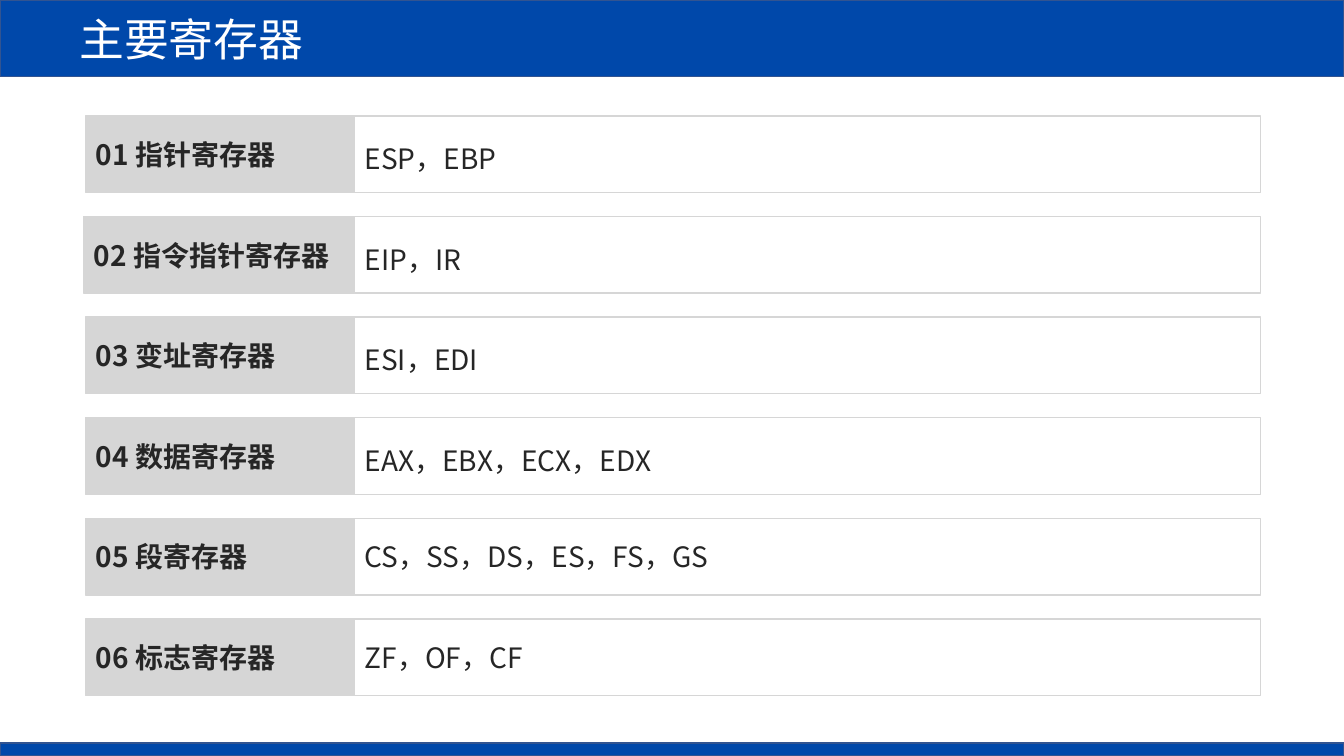
from dataclasses import dataclass

from lxml import etree
from pptx import Presentation
from pptx import util as u
from pptx.dml.color import RGBColor
from pptx.enum import shapes, text
from pptx.oxml import ns


@dataclass(frozen=True)
class Theme:
    font: str = "Noto Sans CJK SC"
    blue: str = "0048AA"
    blue_edge: str = "325491"
    grey: str = "D6D6D6"
    ink: str = "262626"
    white: str = "FFFFFF"
    title_size: int = 32
    body_size: int = 20


@dataclass(frozen=True)
class RegisterRow:
    kind: str
    names: str
    line_spacing: float = 1.0
    label_left: float = 2.16


THEME = Theme()
PAGE_WIDTH, PAGE_HEIGHT = 33.87, 19.05
BAR_HEIGHT, FOOTER_HEIGHT = 1.93, 0.33
FIRST_TOP, LAST_TOP = 2.92, 15.6
NAMES_LEFT, NAMES_WIDTH = 8.94, 22.83

ROWS = [
    RegisterRow("指针寄存器", "ESP，EBP", 1.25),
    RegisterRow("指令指针寄存器", "EIP，IR", 1.25, label_left=2.11),
    RegisterRow("变址寄存器", "ESI，EDI", 1.25),
    RegisterRow("数据寄存器", "EAX，EBX，ECX，EDX", 1.25),
    RegisterRow("段寄存器", "CS，SS，DS，ES，FS，GS"),
    RegisterRow("标志寄存器", "ZF，OF，CF"),
]


def paint(box, fill: str | None, edge: str) -> None:
    if fill:
        box.fill.solid()
        box.fill.fore_color.rgb = RGBColor.from_string(fill)
    else:
        box.fill.background()
    box.line.color.rgb = RGBColor.from_string(edge)
    box.line.width = u.Pt(1)


def add_box(parent, left: float, top: float, width: float, height: float,
            fill: str | None, edge: str):
    box = parent.shapes.add_shape(shapes.MSO_SHAPE.RECTANGLE, u.Cm(left),
                                  u.Cm(top), u.Cm(width), u.Cm(height))
    box.shadow.inherit = False
    paint(box, fill, edge)
    return box


def write(box, wording: str, *, size: int = THEME.body_size,
          color: str = THEME.ink, bold: bool = False,
          line_spacing: float = 1.0) -> None:
    frame = box.text_frame
    frame.word_wrap = True
    frame.auto_size = text.MSO_AUTO_SIZE.NONE
    frame.vertical_anchor = text.MSO_ANCHOR.MIDDLE
    para = frame.paragraphs[0]
    para.alignment = text.PP_ALIGN.LEFT
    para.line_spacing = line_spacing
    span = para.add_run()
    span.text = wording
    span.font.size = u.Pt(size)
    span.font.bold = bold
    span.font.color.rgb = RGBColor.from_string(color)
    span.font.name = THEME.font
    east_asian = etree.SubElement(span._r.get_or_add_rPr(), ns.qn("a:ea"))
    east_asian.set("typeface", THEME.font)


def add_title_bar(page, wording: str) -> None:
    title = page.shapes.title
    title.left, title.top = u.Cm(0), u.Cm(0)
    title.width, title.height = u.Cm(PAGE_WIDTH), u.Cm(BAR_HEIGHT)
    title.text_frame.margin_left = u.Cm(2)
    paint(title, THEME.blue, THEME.blue_edge)
    write(title, wording, size=THEME.title_size, color=THEME.white)


def add_register_row(page, number: int, row: RegisterRow, top: float) -> None:
    group = page.shapes.add_group_shape()
    label = add_box(group, row.label_left, top, NAMES_LEFT - row.label_left,
                    BAR_HEIGHT, THEME.grey, THEME.grey)
    write(label, f"{number:02d} {row.kind}", bold=True)
    names = add_box(group, NAMES_LEFT, top, NAMES_WIDTH, BAR_HEIGHT,
                    None, THEME.grey)
    write(names, row.names, line_spacing=row.line_spacing)


def main() -> None:
    deck = Presentation()
    deck.slide_width, deck.slide_height = u.Cm(PAGE_WIDTH), u.Cm(PAGE_HEIGHT)
    page = deck.slides.add_slide(deck.slide_layouts.get_by_name("Title Only"))
    add_title_bar(page, "主要寄存器")
    add_box(page, 0, PAGE_HEIGHT - FOOTER_HEIGHT, PAGE_WIDTH, FOOTER_HEIGHT,
            THEME.blue, THEME.blue_edge)
    pitch = (LAST_TOP - FIRST_TOP) / (len(ROWS) - 1)
    for index, row in enumerate(ROWS):
        add_register_row(page, index + 1, row, FIRST_TOP + index * pitch)
    deck.save("out.pptx")


if __name__ == "__main__":
    main()
